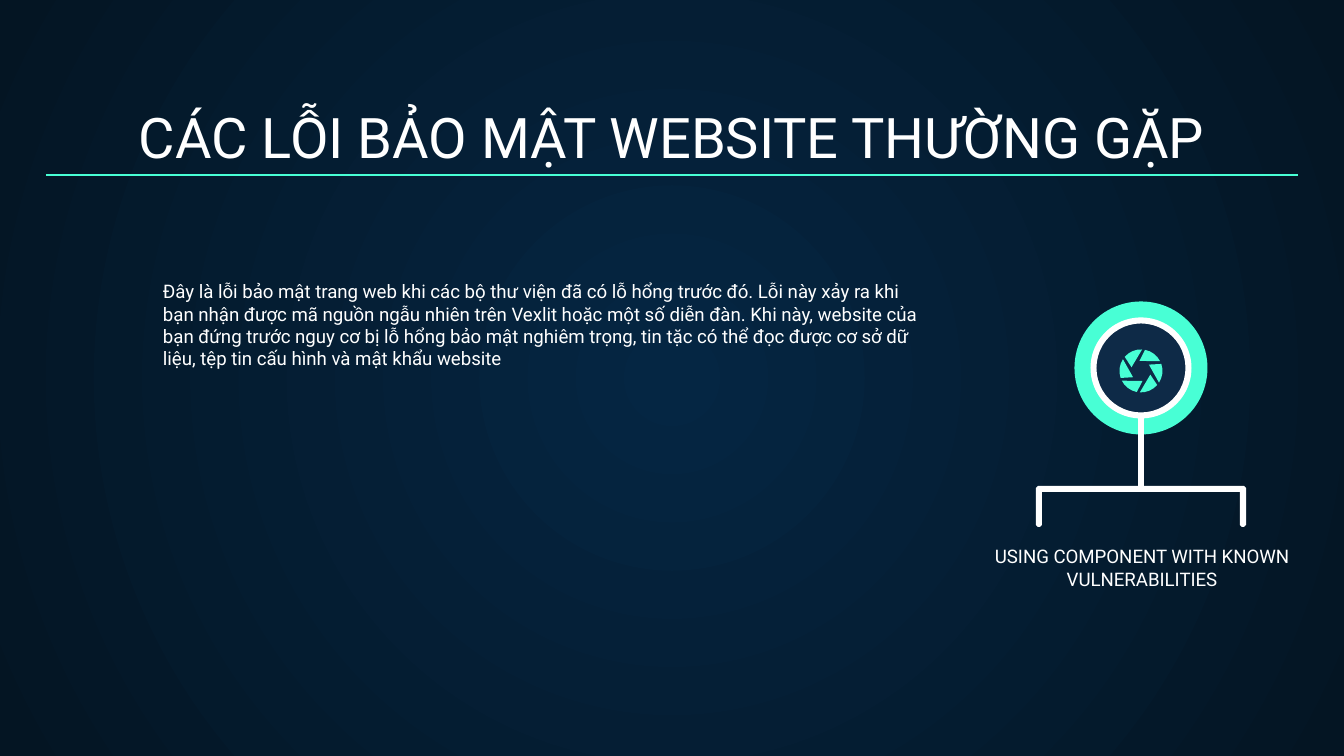
from math import cos, radians, sin

from lxml.etree import SubElement
from pptx import Presentation
from pptx.dml.color import RGBColor
from pptx.enum.shapes import MSO_CONNECTOR, MSO_SHAPE
from pptx.enum.text import MSO_ANCHOR, MSO_AUTO_SIZE, PP_ALIGN
from pptx.oxml.ns import qn
from pptx.util import Emu, Pt

EMU_PER_PX = 914400 / 134.4
FONT = "Roboto"
WHITE, TEAL, NAVY = "FFFFFF", "48FFD5", "0E2A47"
BACKGROUND = [(0, "052643"), (1, "041523")]

TITLE = "CÁC LỖI BẢO MẬT WEBSITE THƯỜNG GẶP"
CAPTION = "USING COMPONENT WITH KNOWN VULNERABILITIES"
BODY = (
    "Đây là lỗi bảo mật trang web khi các bộ thư viện đã có lỗ hổng trước đó. "
    "Lỗi này xảy ra khi bạn nhận được mã nguồn ngẫu nhiên trên Vexlit hoặc một số "
    "diễn đàn. Khi này, website của bạn đứng trước nguy cơ bị lỗ hổng bảo mật nghiêm "
    "trọng, tin tặc có thể đọc được cơ sở dữ liệu, tệp tin cấu hình và mật khẩu website"
)

TITLE_BOX = (46, 94, 1252, 89)
BODY_BOX = (134, 267, 806, 438)
CAPTION_BOX = (970, 544, 344, 59)
BODY_INDENT = 16
INSET = 13

BADGE_X, BADGE_Y = 1141, 368
DISC, CORE, RING = 133, 94, 101
STROKE = 6
STEM_TOP, STEM_BOTTOM = 358, 492
BRACKET_HALF, BRACKET_TOP, BRACKET_BOTTOM = 105, 486, 527

IRIS_Y, IRIS_RADIUS, BLADES = 371, 21.5, 6
BLADE_ARC = range(153, 100, -13)
BLADE_TIP = (1.5, 10)


def px(value):
    return Emu(round(value * EMU_PER_PX))


def color(value):
    return RGBColor.from_string(value)


def paint(shape, fill):
    shape.shadow.inherit = False
    shape.fill.solid()
    shape.fill.fore_color.rgb = color(fill)
    shape.line.fill.background()


def add_preset(shapes, kind, center_x, center_y, width, height, fill):
    shape = shapes.add_shape(
        kind, px(center_x - width / 2), px(center_y - height / 2), px(width), px(height)
    )
    paint(shape, fill)
    return shape


def add_polygon(shapes, points, fill):
    points = [(px(x), px(y)) for x, y in points]
    builder = shapes.build_freeform(*points[0], scale=1.0)
    builder.add_line_segments(points[1:], close=True)
    paint(builder.convert_to_shape(), fill)


def write(box, area, text, size, align, anchor):
    box.left, box.top, box.width, box.height = map(px, area)
    frame = box.text_frame
    frame.text = text
    frame.word_wrap = True
    frame.auto_size = MSO_AUTO_SIZE.NONE
    frame.vertical_anchor = anchor
    frame.margin_left = frame.margin_right = px(INSET)
    frame.margin_top = frame.margin_bottom = px(INSET)
    para = frame.paragraphs[0]
    para.alignment = align
    para.space_before = Pt(0)
    font = para.runs[0].font
    font.name, font.size, font.color.rgb = FONT, Pt(size), color(WHITE)
    return para


def fill_background(page):
    """Give the page a gradient that spreads in circles from its centre."""
    fill = page.background.fill
    fill.gradient()
    for stop, (position, value) in zip(fill.gradient_stops, BACKGROUND):
        stop.position = position
        stop.color.rgb = color(value)
    gradient = page.background._cSld.find(".//" + qn("a:gradFill"))
    gradient.remove(gradient.find(qn("a:lin")))
    circle = SubElement(gradient, qn("a:path"), path="circle")
    SubElement(circle, qn("a:fillToRect"), l="50000", t="50000", r="50000", b="50000")


def add_bracket(shapes):
    """Draw the bracket from its left half, mirrored, with clipped corners."""
    outer, top, bottom, clip = BRACKET_HALF, BRACKET_TOP, BRACKET_BOTTOM, 2
    inner = outer - STROKE
    half = [
        (inner, top + STROKE), (inner, bottom - clip), (inner + clip, bottom),
        (outer - clip, bottom), (outer, bottom - clip), (outer, top + clip),
        (outer - clip, top),
    ]
    left = [(BADGE_X - x, y) for x, y in half]
    right = [(BADGE_X + x, y) for x, y in reversed(half)]
    add_polygon(shapes, left + right, WHITE)


def add_iris(shapes):
    blade = [
        (IRIS_RADIUS * cos(radians(angle)), IRIS_RADIUS * sin(radians(angle)))
        for angle in BLADE_ARC
    ] + [BLADE_TIP]
    group = shapes.add_group_shape()
    for index in range(BLADES):
        turn = radians(index * 360 / BLADES)
        points = [
            (BADGE_X + x * cos(turn) - y * sin(turn), IRIS_Y + x * sin(turn) + y * cos(turn))
            for x, y in blade
        ]
        add_polygon(group.shapes, points, TEAL)


def add_badge(shapes):
    add_bracket(shapes)
    add_preset(shapes, MSO_SHAPE.OVAL, BADGE_X, BADGE_Y, DISC, DISC, TEAL)
    stem = add_preset(
        shapes, MSO_SHAPE.ROUNDED_RECTANGLE, BADGE_X, (STEM_TOP + STEM_BOTTOM) / 2,
        STROKE, STEM_BOTTOM - STEM_TOP, WHITE,
    )
    stem.adjustments[0] = 0.5
    add_preset(shapes, MSO_SHAPE.OVAL, BADGE_X, BADGE_Y, CORE, CORE, NAVY)
    ring = add_preset(shapes, MSO_SHAPE.DONUT, BADGE_X, BADGE_Y, RING, RING, WHITE)
    ring.adjustments[0] = STROKE / RING
    add_iris(shapes)


def add_rule(shapes):
    rule = shapes.add_connector(MSO_CONNECTOR.STRAIGHT, px(46), px(175), px(1298), px(175))
    rule.line.color.rgb = color(TEAL)
    rule.line.width = Pt(0.75)
    SubElement(rule._element.spPr, qn("a:effectLst"))


def main():
    deck = Presentation()
    deck.slide_width, deck.slide_height = px(1344), px(756)
    page = deck.slides.add_slide(deck.slide_layouts[1])
    shapes = page.shapes
    title, body = page.placeholders
    fill_background(page)

    write(title, TITLE_BOX, TITLE, 30, PP_ALIGN.CENTER, MSO_ANCHOR.BOTTOM)
    add_badge(shapes)
    add_rule(shapes)
    caption = shapes.add_textbox(*map(px, CAPTION_BOX))
    write(caption, CAPTION_BOX, CAPTION, 10, PP_ALIGN.CENTER, MSO_ANCHOR.BOTTOM)

    para = write(body, BODY_BOX, BODY, 10, PP_ALIGN.LEFT, MSO_ANCHOR.TOP)
    properties = para._p.get_or_add_pPr()
    properties.set("marL", str(px(BODY_INDENT)))
    properties.set("indent", "0")
    SubElement(properties, qn("a:buNone"))

    deck.save("out.pptx")


if __name__ == "__main__":
    main()
